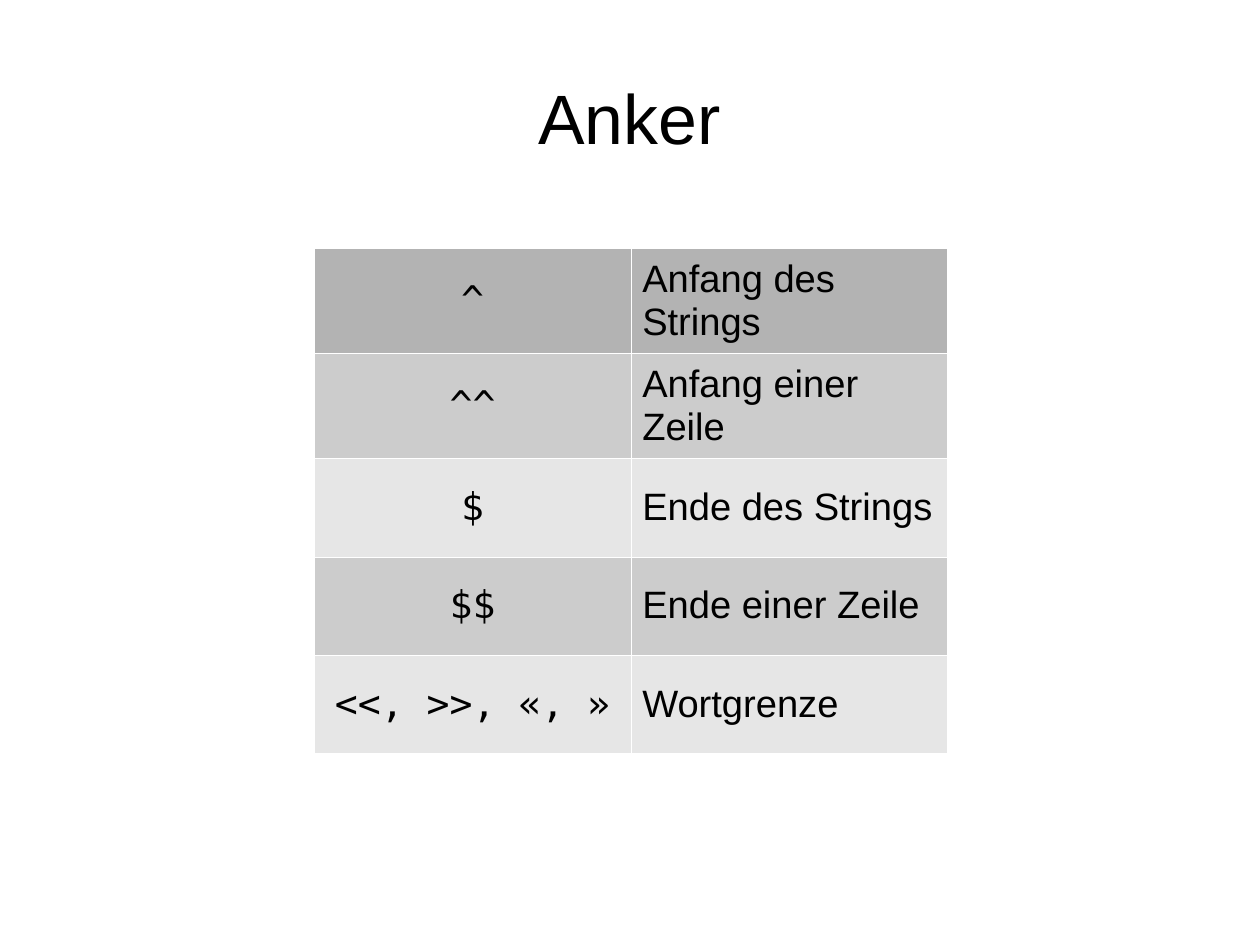
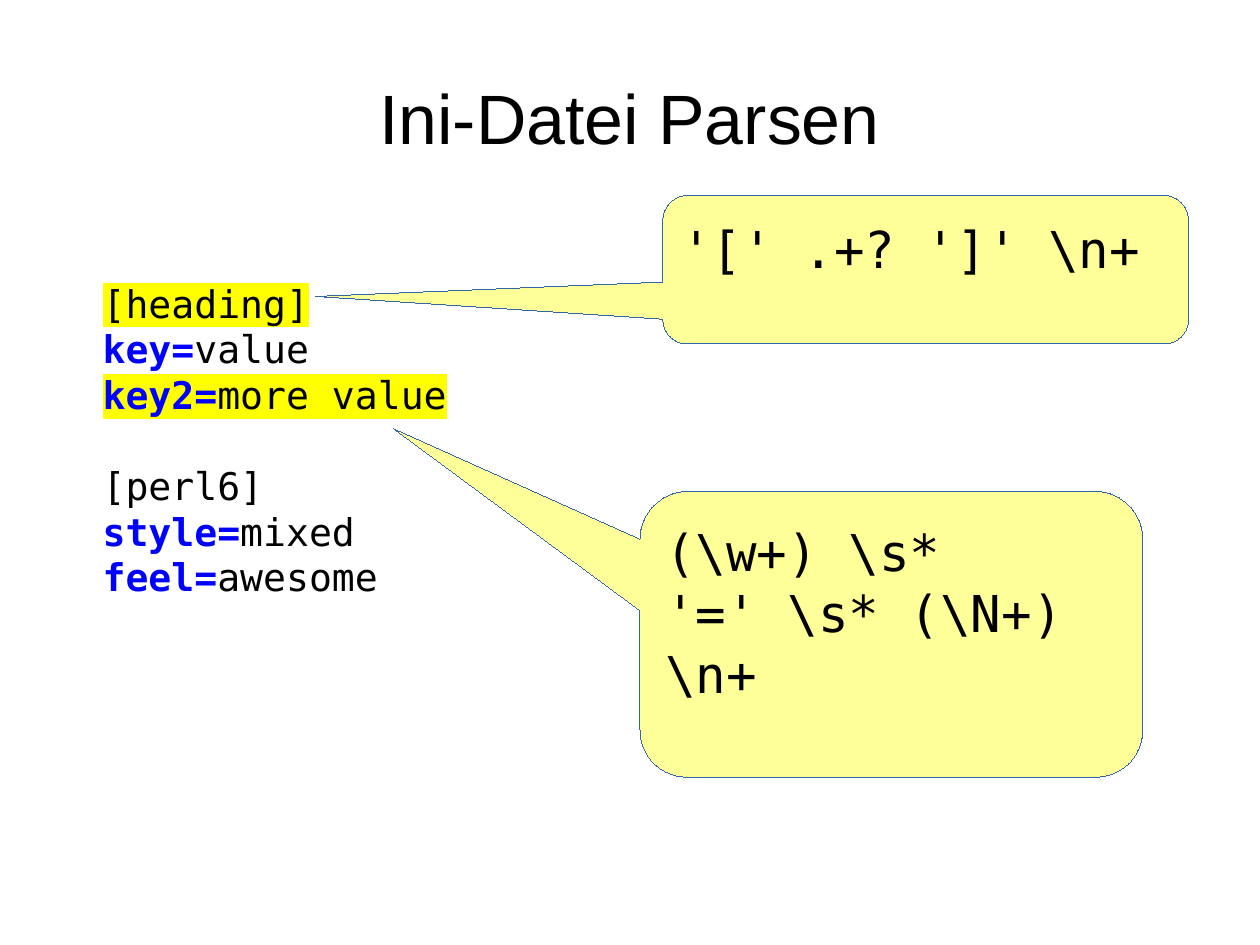
from dataclasses import dataclass

from lxml import etree
from pptx import Presentation
from pptx.dml.color import RGBColor
from pptx.enum.shapes import MSO_SHAPE
from pptx.enum.text import MSO_ANCHOR, MSO_AUTO_SIZE, PP_ALIGN
from pptx.oxml.ns import qn
from pptx.util import Emu, Inches, Pt

MIDDLE, TOP = MSO_ANCHOR.MIDDLE, MSO_ANCHOR.TOP
LEFT, CENTER = PP_ALIGN.LEFT, PP_ALIGN.CENTER
NO_AUTOFIT = MSO_AUTO_SIZE.NONE
CALLOUT = MSO_SHAPE.ROUNDED_RECTANGULAR_CALLOUT


@dataclass(frozen=True)
class Theme:
    sans: str = "Arial"
    mono: str = "DejaVu Sans Mono"
    ink: str = "000000"
    key: str = "0000FF"
    marker: str = "FFFF00"
    callout_fill: str = "FFFF99"
    callout_line: str = "3465A4"
    grid: str = "FFFFFF"
    header_row: str = "B3B3B3"
    bands: tuple = ("E6E6E6", "CCCCCC")
    title_size: int = 44
    body_size: int = 24
    callout_size: int = 32
    section_gap: float = 28.5
    grid_width: float = 0.06
    hairline: float = 0.01


THEME = Theme()
SLIDE_WIDTH, SLIDE_HEIGHT = Emu(10080625), Emu(7559675)
TITLE_BOX = (0.55, 0.33, 9.92, 1.38)
INSETS = (0.1, 0.05, 0.1, 0.05)
CALLOUT_INSETS = (0.1, 0.05, 0.1, 0.43)

ANCHOR_TITLE = "Anker"
ANCHORS = [
    ("^", "Anfang des Strings"),
    ("^^", "Anfang einer Zeile"),
    ("$", "Ende des Strings"),
    ("$$", "Ende einer Zeile"),
    ("<<, >>, «, »", "Wortgrenze"),
]
ANCHOR_ORIGIN = (2.75, 2.17)
ANCHOR_COLUMN = 2.77
ANCHOR_ROWS = (0.92, 0.92, 0.86, 0.86, 0.86)

INI_TITLE = "Ini-Datei Parsen"
INI_BOX = (0.8, 2.4, 9.4, 2.82)
INI_SECTIONS = [
    ("[heading]", [("key=", "value"), ("key2=", "more value")]),
    ("[perl6]", [("style=", "mixed"), ("feel=", "awesome")]),
]
MARKED = ("[heading]", "key2=")
CALLOUTS = [
    ((5.8, 1.71, 4.6, 1.3), (-1.16, 0.18), ["'[' .+? ']' \\n+"]),
    ((5.6, 4.3, 4.4, 2.5), (-0.99, -0.72),
     ["(\\w+) \\s*", "'=' \\s* (\\N+)", "\\n+"]),
]


def rgb(value):
    return RGBColor.from_string(value)


def inches(values):
    return [Inches(value) for value in values]


def solid_fill(parent, color):
    fill = etree.SubElement(parent, qn("a:solidFill"))
    etree.SubElement(fill, qn("a:srgbClr"), val=color)


def add_run(paragraph, text, font, size, color=THEME.ink, bold=False, marked=False):
    run = paragraph.add_run()
    run.text = text
    run.font.name = font
    run.font.size = Pt(size)
    run.font.bold = bold
    run.font.color.rgb = rgb(color)
    if marked:
        highlight = etree.Element(qn("a:highlight"))
        etree.SubElement(highlight, qn("a:srgbClr"), val=THEME.marker)
        run.font._element.find(qn("a:solidFill")).addnext(highlight)


def set_frame(frame, insets, anchor):
    frame.word_wrap = True
    frame.auto_size = NO_AUTOFIT
    frame.vertical_anchor = anchor
    (frame.margin_left, frame.margin_top,
     frame.margin_right, frame.margin_bottom) = inches(insets)


def next_paragraph(frame):
    first = frame.paragraphs[0]
    paragraph = frame.add_paragraph() if first.runs else first
    paragraph.alignment = LEFT
    return paragraph


def add_titled_slide(deck, text):
    slide = deck.slides.add_slide(deck.slide_layouts[5])
    title = slide.shapes.title
    title.left, title.top, title.width, title.height = inches(TITLE_BOX)
    set_frame(title.text_frame, (0, 0, 0, 0), MIDDLE)
    heading = title.text_frame.paragraphs[0]
    heading.alignment = CENTER
    add_run(heading, text, THEME.sans, THEME.title_size)
    return slide


def set_borders(cell):
    properties = cell._tc.get_or_add_tcPr()
    for position, side in enumerate(("lnL", "lnR", "lnT", "lnB")):
        border = etree.Element(qn(f"a:{side}"), w=str(Pt(THEME.grid_width)))
        solid_fill(border, THEME.grid)
        properties.insert(position, border)


def add_anchor_table(slide):
    columns = len(ANCHORS[0])
    size = (columns * ANCHOR_COLUMN, sum(ANCHOR_ROWS))
    table = slide.shapes.add_table(
        len(ANCHORS), columns, *inches(ANCHOR_ORIGIN + size)).table
    table.first_row = table.horz_banding = False
    for column in table.columns:
        column.width = Inches(ANCHOR_COLUMN)
    styles = ((THEME.mono, CENTER), (THEME.sans, LEFT))
    for index, (entry, height) in enumerate(zip(ANCHORS, ANCHOR_ROWS)):
        table.rows[index].height = Inches(height)
        shade = THEME.bands[index % 2] if index else THEME.header_row
        for cell, text, (font, alignment) in zip(table.rows[index].cells, entry, styles):
            cell.fill.solid()
            cell.fill.fore_color.rgb = rgb(shade)
            set_borders(cell)
            cell.vertical_anchor = MIDDLE
            paragraph = cell.text_frame.paragraphs[0]
            paragraph.alignment = alignment
            add_run(paragraph, text, font, THEME.body_size)


def add_ini_listing(slide):
    frame = slide.shapes.add_textbox(*inches(INI_BOX)).text_frame
    set_frame(frame, INSETS, TOP)
    for index, (section, settings) in enumerate(INI_SECTIONS):
        heading = next_paragraph(frame)
        if index:
            heading.space_before = Pt(THEME.section_gap)
        add_run(heading, section, THEME.mono, THEME.body_size, marked=section in MARKED)
        for key, value in settings:
            line = next_paragraph(frame)
            marked = key in MARKED
            add_run(line, key, THEME.mono, THEME.body_size, THEME.key, True, marked)
            add_run(line, value, THEME.mono, THEME.body_size, marked=marked)


def add_callout(slide, box, tip, lines):
    callout = slide.shapes.add_shape(CALLOUT, *inches(box))
    callout.shadow.inherit = False
    callout.adjustments[0], callout.adjustments[1] = tip
    callout.fill.solid()
    callout.fill.fore_color.rgb = rgb(THEME.callout_fill)
    callout.line.color.rgb = rgb(THEME.callout_line)
    callout.line.width = Pt(THEME.hairline)
    set_frame(callout.text_frame, CALLOUT_INSETS, MIDDLE)
    for line in lines:
        add_run(next_paragraph(callout.text_frame), line, THEME.mono, THEME.callout_size)


deck = Presentation()
deck.slide_width, deck.slide_height = SLIDE_WIDTH, SLIDE_HEIGHT

add_anchor_table(add_titled_slide(deck, ANCHOR_TITLE))

ini_slide = add_titled_slide(deck, INI_TITLE)
add_ini_listing(ini_slide)
for box, tip, lines in CALLOUTS:
    add_callout(ini_slide, box, tip, lines)

deck.save("out.pptx")
